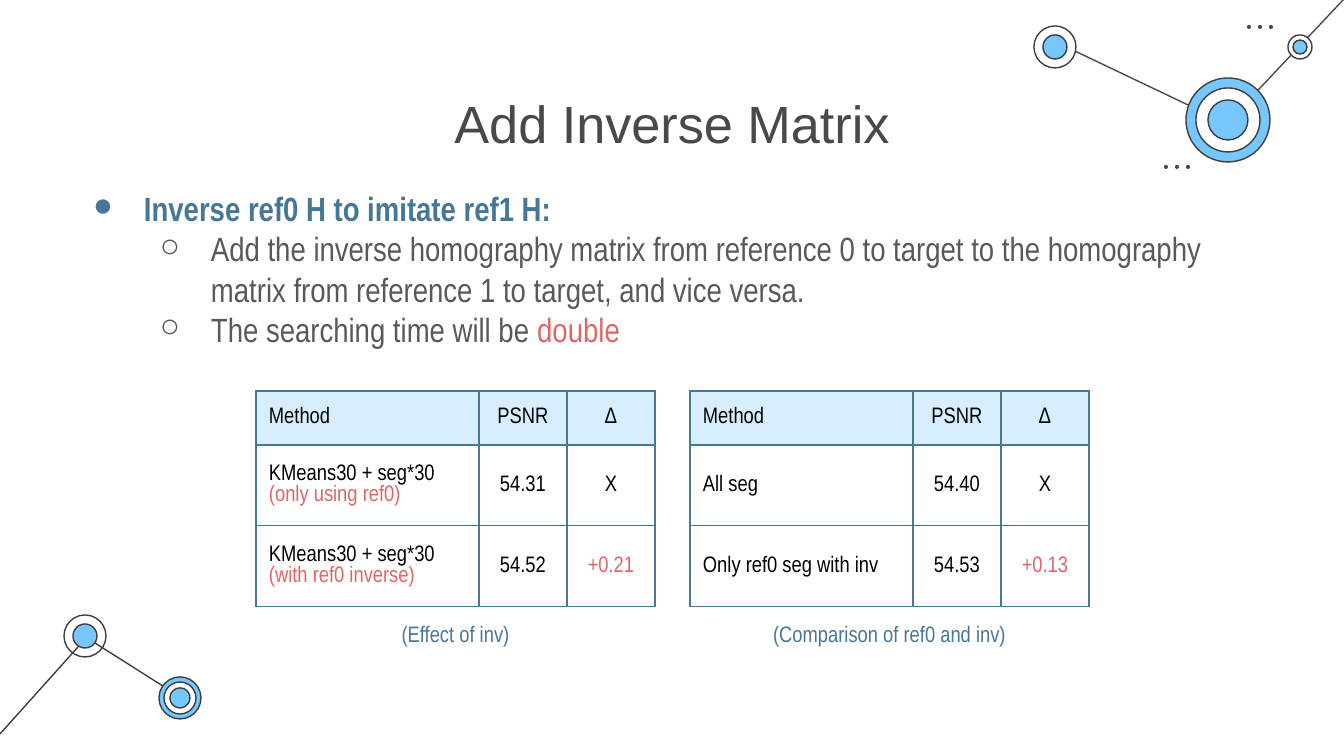
from dataclasses import dataclass

from pptx import Presentation
from pptx import util as u
from pptx.dml.color import RGBColor
from pptx.enum import shapes, text
from pptx.oxml.ns import qn
from lxml import etree

SCALE = 914400 / 134.4  # EMU in one px


@dataclass(frozen=True)
class Theme:
    ink: str = "3D3D3D"
    dark: str = "494949"
    grey: str = "595959"
    blue: str = "477797"
    sky: str = "77C6FC"
    pale: str = "D6EEFE"
    red: str = "E06666"
    black: str = "000000"
    white: str = "FFFFFF"
    head: str = "Arial"
    body: str = "Arial Narrow"
    big: int = 28
    mid: int = 18
    small: int = 12
    rule: float = 0.75


def px(n):
    return u.Emu(round(n * SCALE))


def rgb(code):
    return RGBColor.from_string(code)


def node(root, tag, **attrs):
    return etree.SubElement(root, qn(tag), attrs)


class Deck:
    def __init__(self, theme, wide, high):
        self.theme = theme
        self.prs = Presentation()
        self.prs.slide_width, self.prs.slide_height = px(wide), px(high)
        self.slide = self.prs.slides.add_slide(self.prs.slide_layouts[5])
        self.shapes = self.slide.shapes

    def runs(self, para, parts, size, font=None):
        """Each part is (words, colour) or (words, colour, bold)."""
        for words, color, *bold in parts:
            run = para.add_run()
            run.text = words
            run.font.name = font or self.theme.body
            run.font.size = u.Pt(size)
            run.font.bold = bool(bold and bold[0])
            run.font.color.rgb = rgb(color)

    def frame(self, shape):
        tf = shape.text_frame
        tf.word_wrap = True
        tf.auto_size = text.MSO_AUTO_SIZE.NONE
        tf.vertical_anchor = text.MSO_ANCHOR.TOP
        tf.margin_left = tf.margin_right = px(13)
        tf.margin_top = tf.margin_bottom = px(13)
        return tf

    def title(self, x, y, w, h, words):
        box = self.shapes.title
        box.left, box.top, box.width, box.height = map(px, (x, y, w, h))
        para = self.frame(box).paragraphs[0]
        para.alignment = text.PP_ALIGN.CENTER
        self.runs(para, [(words, self.theme.dark)], self.theme.big, self.theme.head)

    def bullets(self, x, y, w, h, items):
        tf = self.frame(self.shapes.add_textbox(*map(px, (x, y, w, h))))
        for i, (level, parts) in enumerate(items):
            para = tf.add_paragraph() if i else tf.paragraphs[0]
            para.level = level
            props = para._p.get_or_add_pPr()
            props.set("marL", str(px(67 * (level + 1))))
            props.set("indent", str(px(-51)))
            tint = node(props, "a:buClr")
            node(tint, "a:srgbClr", val=parts[0][1])
            node(props, "a:buFont", typeface=self.theme.body)
            node(props, "a:buChar", char="●○"[level])
            self.runs(para, parts, self.theme.mid)

    def note(self, x, y, w, h, words):
        tf = self.frame(self.shapes.add_textbox(*map(px, (x, y, w, h))))
        para = tf.paragraphs[0]
        para.alignment = text.PP_ALIGN.CENTER
        para.space_after = u.Pt(12)
        self.runs(para, [(words, self.theme.blue)], self.theme.small)

    def line(self, x1, y1, x2, y2, color):
        link = self.shapes.add_connector(
            shapes.MSO_CONNECTOR.STRAIGHT, *map(px, (x1, y1, x2, y2)))
        link.line.color.rgb = rgb(color)
        link.line.width = u.Pt(self.theme.rule)
        node(link._element.spPr, "a:effectLst")

    def disc(self, x, y, size, fill, edge=None):
        disc = self.shapes.add_shape(
            shapes.MSO_SHAPE.OVAL, *map(px, (x, y, size, size)))
        disc.shadow.inherit = False
        if fill:
            disc.fill.solid()
            disc.fill.fore_color.rgb = rgb(fill)
        else:
            disc.fill.background()
        if edge:
            disc.line.color.rgb = rgb(edge)
            disc.line.width = u.Pt(self.theme.rule)
        else:
            disc.line.fill.background()

    def rings(self, x, y, *rings):
        for r, fill in rings:
            self.disc(x - r, y - r, 2 * r, fill, self.theme.ink)

    def dots(self, x, y):
        for i in range(3):
            self.disc(x + 11 * i, y, 4, self.theme.dark)

    def edges(self, cell):
        props = cell._tc.get_or_add_tcPr()
        for side in "LRTB":
            edge = node(props, f"a:ln{side}", w=str(u.Pt(self.theme.rule)))
            fill = node(edge, "a:solidFill")
            node(fill, "a:srgbClr", val=self.theme.blue)

    def table(self, x, y, cols, rows, data):
        """Each cell is a list of (words, colour) lines."""
        grid = self.shapes.add_table(
            len(rows), len(cols), *map(px, (x, y, sum(cols), sum(rows)))).table
        grid.first_row = grid.horz_banding = False
        for col, w in zip(grid.columns, cols):
            col.width = px(w)
        for row, h in zip(grid.rows, rows):
            row.height = px(h)
        for r, line in enumerate(data):
            for c, parts in enumerate(line):
                cell = grid.cell(r, c)
                self.edges(cell)
                if r:
                    cell.fill.background()
                else:
                    cell.fill.solid()
                    cell.fill.fore_color.rgb = rgb(self.theme.pale)
                cell.vertical_anchor = text.MSO_ANCHOR.MIDDLE
                cell.margin_left = cell.margin_right = px(13)
                cell.margin_top = cell.margin_bottom = px(13)
                tf = cell.text_frame
                for i, part in enumerate(parts):
                    para = tf.add_paragraph() if i else tf.paragraphs[0]
                    if c:
                        para.alignment = text.PP_ALIGN.CENTER
                    self.runs(para, [part], self.theme.small)


def main():
    t = Theme()
    deck = Deck(t, 1344, 756)

    # Network, bottom left
    deck.line(87, 638, 185, 700, t.ink)
    deck.line(0, 734, 87, 637, t.ink)
    deck.rings(85, 636, (21, None), (12, t.sky))
    deck.rings(180, 698, (21, t.sky), (16, t.white), (10, t.sky))

    # Network, top right
    deck.line(1228, 124, 1058, 43, t.dark)
    deck.line(1344, -1, 1228, 122, t.dark)
    deck.rings(1228, 120, (42, t.sky), (32, t.white), (20, t.sky))
    deck.rings(1055, 47, (21, t.white), (12, t.sky))
    deck.rings(1300, 47, (12, t.white), (7, t.sky))
    deck.dots(1247, 25)
    deck.dots(1164, 165)

    # Title and points
    deck.title(106, 78, 1132, 85, "Add Inverse Matrix")
    deck.bullets(64, 175, 1206, 190, [
        (0, [("Inverse ref0 H to imitate ref1 H:", t.blue, True)]),
        (1, [("Add the inverse homography matrix from reference 0 to target to "
              "the homography matrix from reference 1 to target, and vice versa.",
              t.grey)]),
        (1, [("The searching time will be ", t.grey), ("double", t.red)]),
    ])

    # Result tables with captions
    def ink(*words):
        return [[(word, t.black)] for word in words]

    def gain(word):
        return [(word, t.red)]

    def means(detail):
        return [("KMeans30 + seg*30", t.black), (detail, t.red)]

    head = ink("Method", "PSNR", "Δ")
    effect = [
        head,
        [means("(only using ref0)"), *ink("54.31", "X")],
        [means("(with ref0 inverse)"), *ink("54.52"), gain("+0.21")],
    ]
    versus = [
        head,
        ink("All seg", "54.40", "X"),
        [*ink("Only ref0 seg with inv", "54.53"), gain("+0.13")],
    ]
    for x, data, words in ((256, effect, "(Effect of inv)"),
                           (690, versus, "(Comparison of ref0 and inv)")):
        deck.table(x, 391, (223, 88, 88), (54, 81, 81), data)
        deck.note(x, 607, 399, 54, words)

    deck.prs.save("out.pptx")


if __name__ == "__main__":
    main()
